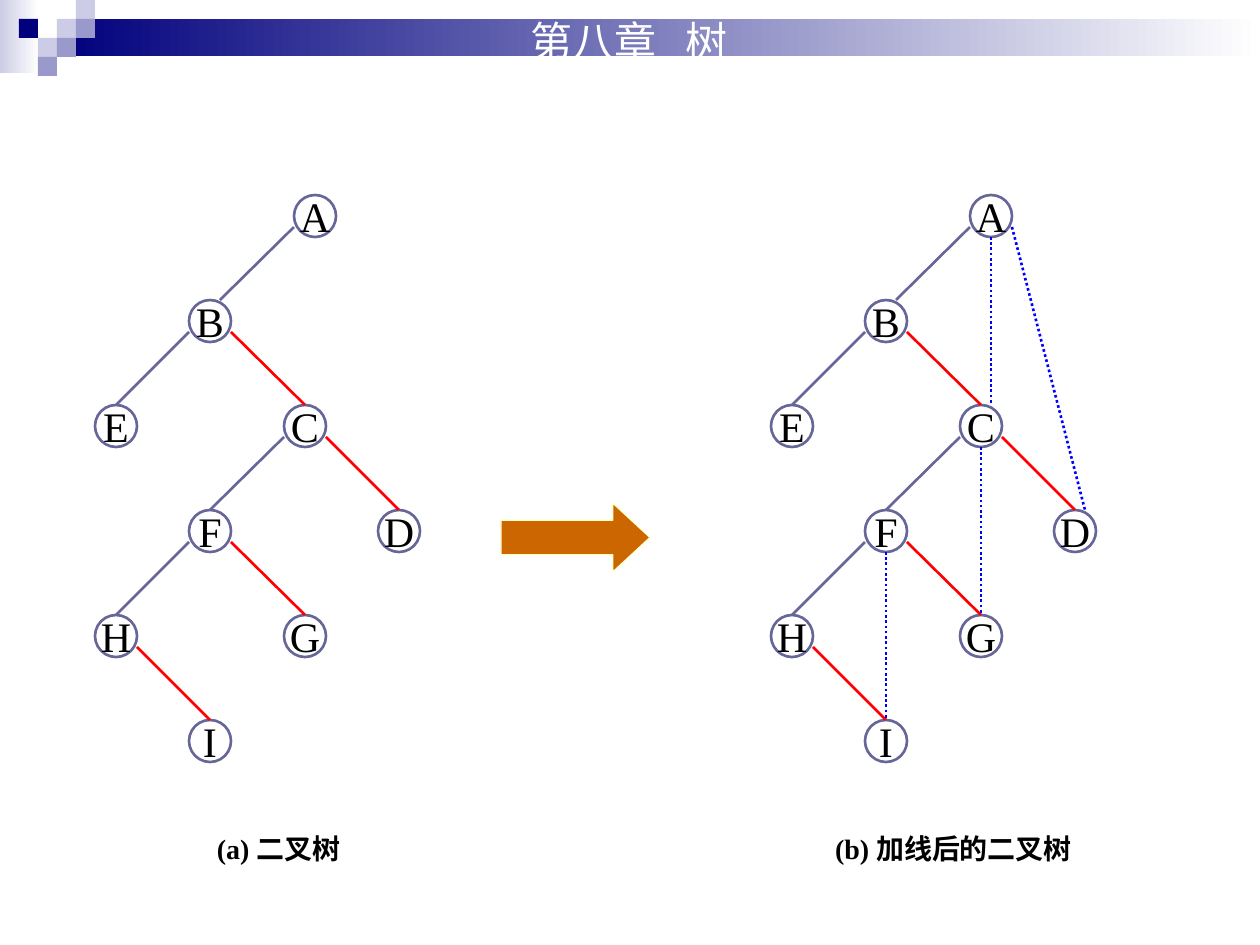
import pptx
import pptx.dml.color
import pptx.enum.dml
import pptx.enum.shapes
import pptx.enum.text
import pptx.oxml.ns
import pptx.util
from lxml import etree

PX = 914400 / 126
SHAPE = pptx.enum.shapes.MSO_SHAPE
ALIGN = pptx.enum.text.PP_ALIGN
SERIF, CJK = "Times New Roman", "Noto Sans CJK SC"
COLORS = {
    "white": "FFFFFF", "black": "000000", "navy": "00007D",
    "pale": "CCCCE6", "lilac": "9999CC", "left": "666699", "right": "FF0000",
    "added": "0000FF", "arrow": "CC6600", "arrow_edge": "FFFFCC",
}

TITLE = "第八章\t树"
TITLE_TAB = 155
CELL = 19  # side of one header square
SQUARES = [  # column, row, colour
    (3, 1, "pale"), (4, 0, "pale"), (4, 1, "lilac"), (2, 2, "pale"),
    (1, 1, "navy"), (3, 2, "lilac"), (2, 3, "lilac"),
]

NODE, TOP, ROW = 42, 195, 105
PORT = 32  # height on a node's side where edges leave
ROOT_SHIFT = 10  # the root sits right of its column, and so do its edges
COLUMNS = [95, 189, 284, 378]
NODES = {  # column, row
    "A": (2, 0), "B": (1, 1), "E": (0, 2), "C": (2, 2), "F": (1, 3),
    "D": (3, 3), "H": (0, 4), "G": (2, 4), "I": (1, 5),
}
LEFT_CHILDREN = ["AB", "BE", "CF", "FH"]
RIGHT_CHILDREN = ["BC", "CD", "FG", "HI"]
ADDED_LINES = [("AC", "bottom"), ("AD", "right"), ("CG", "bottom"), ("FI", "bottom")]
TREES = [  # offset, caption left, caption, lines added
    (0, 126, "(a) 二叉树", []),
    (676, 801, "(b) 加线后的二叉树", ADDED_LINES),
]

prs = pptx.Presentation()
prs.slide_width, prs.slide_height = pptx.util.Inches(10), pptx.util.Inches(7.5)
s = prs.slides.add_slide(prs.slide_layouts[6])


def emu(*lengths):
    return [round(v * PX) for v in lengths]


def rgb(name):
    return pptx.dml.color.RGBColor.from_string(COLORS[name])


def add_shape(kind, box, fill, line=None, width=1.5):
    """Add a preset shape; a pair of fill colours makes a left-to-right gradient."""
    sp = s.shapes.add_shape(kind, *emu(*box))
    sp.shadow.inherit = False
    if isinstance(fill, tuple):
        sp.fill.gradient()
        sp.fill.gradient_angle = 0
        for stop, name, position in zip(sp.fill.gradient_stops, fill, (0, 1)):
            stop.color.rgb, stop.position = rgb(name), position
    else:
        sp.fill.solid()
        sp.fill.fore_color.rgb = rgb(fill)
    if line:
        sp.line.color.rgb = rgb(line)
        sp.line.width = pptx.util.Pt(width)
    else:
        sp.line.fill.background()
    return sp


def write(sp, text, size, color, align, font=SERIF, bold=False, wrap=True):
    tf = sp.text_frame
    tf.word_wrap = wrap
    p = tf.paragraphs[0]
    p.text, p.alignment = text, align
    for r in p.runs:
        r.font.size, r.font.bold, r.font.name = pptx.util.Pt(size), bold, font
        r.font.color.rgb = rgb(color)
        ea = etree.SubElement(r.font._element, pptx.oxml.ns.qn("a:ea"))
        ea.set("typeface", CJK)
    return p


def add_line(start, end, color, dotted=False):
    c = s.shapes.add_connector(
        pptx.enum.shapes.MSO_CONNECTOR.STRAIGHT, *emu(*start, *end))
    c.line.color.rgb = rgb(color)
    c.line.width = pptx.util.Pt(1.5)
    if dotted:
        c.line.dash_style = pptx.enum.dml.MSO_LINE.ROUND_DOT
    etree.SubElement(c._element.spPr, pptx.oxml.ns.qn("a:effectLst"))


def shift(name):
    return ROOT_SHIFT if name == "A" else 0


def corner(name, offset):
    column, row = NODES[name]
    return offset + COLUMNS[column] + shift(name), TOP + row * ROW


def add_edge(pair, side, offset, color, dotted=False):
    """Join one side of the parent to the top of the child."""
    parent, child = pair
    x, y = corner(parent, offset)
    dx, dy = {"left": (0, PORT), "right": (NODE, PORT), "bottom": (NODE // 2, NODE)}[side]
    end_x, end_y = corner(child, offset)
    end = (end_x + NODE // 2 + shift(parent), end_y)
    add_line((x + dx, y + dy), end, color, dotted)


def add_caption(left, text):
    box = s.shapes.add_textbox(*emu(left, 825, 305, 47))
    write(box, text, 16, "black", ALIGN.CENTER, bold=True)


def add_tree(offset, added):
    for name in NODES:
        sp = add_shape(SHAPE.OVAL, (*corner(name, offset), NODE, NODE), "white", "left")
        sp.text_frame.vertical_anchor = pptx.enum.text.MSO_ANCHOR.MIDDLE
        write(sp, name, 24, "black", ALIGN.CENTER, wrap=False)
    for side, pairs in (("left", LEFT_CHILDREN), ("right", RIGHT_CHILDREN)):
        for pair in pairs:
            add_edge(pair, side, offset, side)
    for pair, side in added:
        add_edge(pair, side, offset, "added", dotted=True)


def add_header():
    add_shape(SHAPE.RECTANGLE, (0, 0, 39, 73), ("pale", "white"))
    add_shape(SHAPE.RECTANGLE, (57, 19, 1203, 37), ("navy", "white"))
    for column, row, color in SQUARES:
        add_shape(SHAPE.RECTANGLE, (column * CELL, row * CELL, CELL, CELL), color)
    box = s.shapes.add_textbox(*emu(518, 9, 305, 63))
    p = write(box, TITLE, 24, "white", ALIGN.LEFT, font=CJK)
    tabs = etree.SubElement(p._p.get_or_add_pPr(), pptx.oxml.ns.qn("a:tabLst"))
    etree.SubElement(tabs, pptx.oxml.ns.qn("a:tab"), pos=str(emu(TITLE_TAB)[0]), algn="l")


add_header()
for offset, caption_left, caption, added in TREES:
    add_caption(caption_left, caption)
    add_tree(offset, added)
arrow = add_shape(SHAPE.RIGHT_ARROW, (501, 503, 149, 69), "arrow", "arrow_edge", 0.75)
arrow.adjustments[0], arrow.adjustments[1] = 0.5, 0.54
prs.save("out.pptx")
